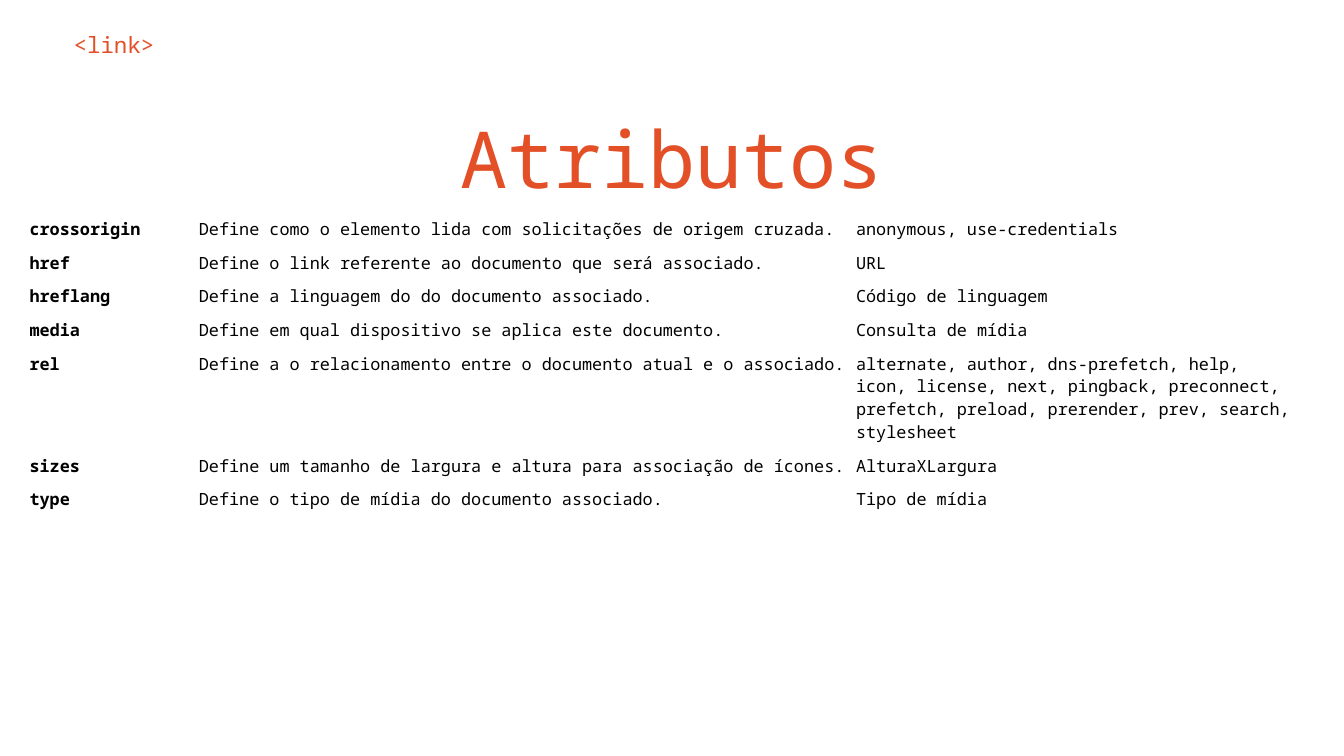
from dataclasses import dataclass
from typing import NamedTuple

from pptx import Presentation
from pptx.dml.color import RGBColor
from pptx.enum.text import MSO_ANCHOR as Anchor, PP_ALIGN as Align
from pptx.util import Pt


@dataclass(frozen=True)
class Theme:
    font: str = "Noto Sans Mono"
    accent: RGBColor = RGBColor(0xE3, 0x4F, 0x26)
    ink: RGBColor = RGBColor(0, 0, 0)
    tag_size: float = 12
    title_size: float = 42
    table_size: float = 9
    table_line: float = 12.24
    box_inset: float = 7.2
    cell_inset: float = 2.88


class Heading(NamedTuple):
    text: str
    left: float
    top: float
    width: float
    height: float
    size: float
    align: Align


class Attribute(NamedTuple):
    name: str
    description: str
    values: str


THEME = Theme()

HEADINGS = [
    Heading("<link>", 32.4, 8.9, 660.96, 30.24, THEME.tag_size, Align.LEFT),
    Heading("Atributos", 51.4, 53.4, 617.04, 61.92, THEME.title_size, Align.CENTER),
]

ATTRIBUTES = [
    Attribute("crossorigin",
              "Define como o elemento lida com solicitações de origem cruzada.",
              "anonymous, use-credentials"),
    Attribute("href",
              "Define o link referente ao documento que será associado.",
              "URL"),
    Attribute("hreflang",
              "Define a linguagem do do documento associado.",
              "Código de linguagem"),
    Attribute("media",
              "Define em qual dispositivo se aplica este documento.",
              "Consulta de mídia"),
    Attribute("rel",
              "Define a o relacionamento entre o documento atual e o associado.",
              "alternate, author, dns-prefetch, help, icon, license, next, pingback, "
              "preconnect, prefetch, preload, prerender, prev, search, stylesheet"),
    Attribute("sizes",
              "Define um tamanho de largura e altura para associação de ícones.",
              "AlturaXLargura"),
    Attribute("type",
              "Define o tipo de mídia do documento associado.",
              "Tipo de mídia"),
]

TABLE_LEFT, TABLE_TOP = 12.96, 113.76
COLUMN_WIDTHS = (90.72, 352.08, 242.64)
LINE_COUNTS = {"rel": 4}  # every other row has one line


def row_height(attribute: Attribute) -> float:
    """Room for all text lines of the row plus the cell margins."""
    lines = LINE_COUNTS.get(attribute.name, 1)
    return lines * THEME.table_line + 2 * THEME.cell_inset


def set_insets(target, inset: float) -> None:
    """Give a text frame or a table cell the same margin on all sides."""
    target.margin_left = target.margin_right = Pt(inset)
    target.margin_top = target.margin_bottom = Pt(inset)


def style_runs(tf, size: float, color: RGBColor, bold: bool = False) -> None:
    for p in tf.paragraphs:
        for r in p.runs:
            r.font.name = THEME.font
            r.font.size = Pt(size)
            r.font.bold = bold
            r.font.color.rgb = color


def add_heading(s, h: Heading) -> None:
    box = s.shapes.add_textbox(Pt(h.left), Pt(h.top), Pt(h.width), Pt(h.height))
    tf = box.text_frame
    tf.word_wrap = True
    tf.vertical_anchor = Anchor.MIDDLE
    set_insets(tf, THEME.box_inset)
    tf.text = h.text
    tf.paragraphs[0].alignment = h.align
    style_runs(tf, h.size, THEME.accent)


def add_attribute_table(s, attributes: list[Attribute]) -> None:
    heights = [row_height(attribute) for attribute in attributes]
    frame = s.shapes.add_table(
        len(attributes), len(COLUMN_WIDTHS), Pt(TABLE_LEFT), Pt(TABLE_TOP),
        Pt(sum(COLUMN_WIDTHS)), Pt(sum(heights)))
    table = frame.table
    table.first_row = table.horz_banding = False
    for column, width in zip(table.columns, COLUMN_WIDTHS):
        column.width = Pt(width)
    for row, height, attribute in zip(table.rows, heights, attributes):
        row.height = Pt(height)
        for i, (cell, text) in enumerate(zip(row.cells, attribute)):
            cell.fill.background()
            set_insets(cell, THEME.cell_inset)
            cell.text_frame.text = text
            style_runs(cell.text_frame, THEME.table_size, THEME.ink, bold=i == 0)


def main() -> None:
    prs = Presentation()
    prs.slide_width, prs.slide_height = Pt(720), Pt(405)
    s = prs.slides.add_slide(prs.slide_layouts[6])
    for heading in HEADINGS:
        add_heading(s, heading)
    add_attribute_table(s, ATTRIBUTES)
    prs.save("out.pptx")


if __name__ == "__main__":
    main()
